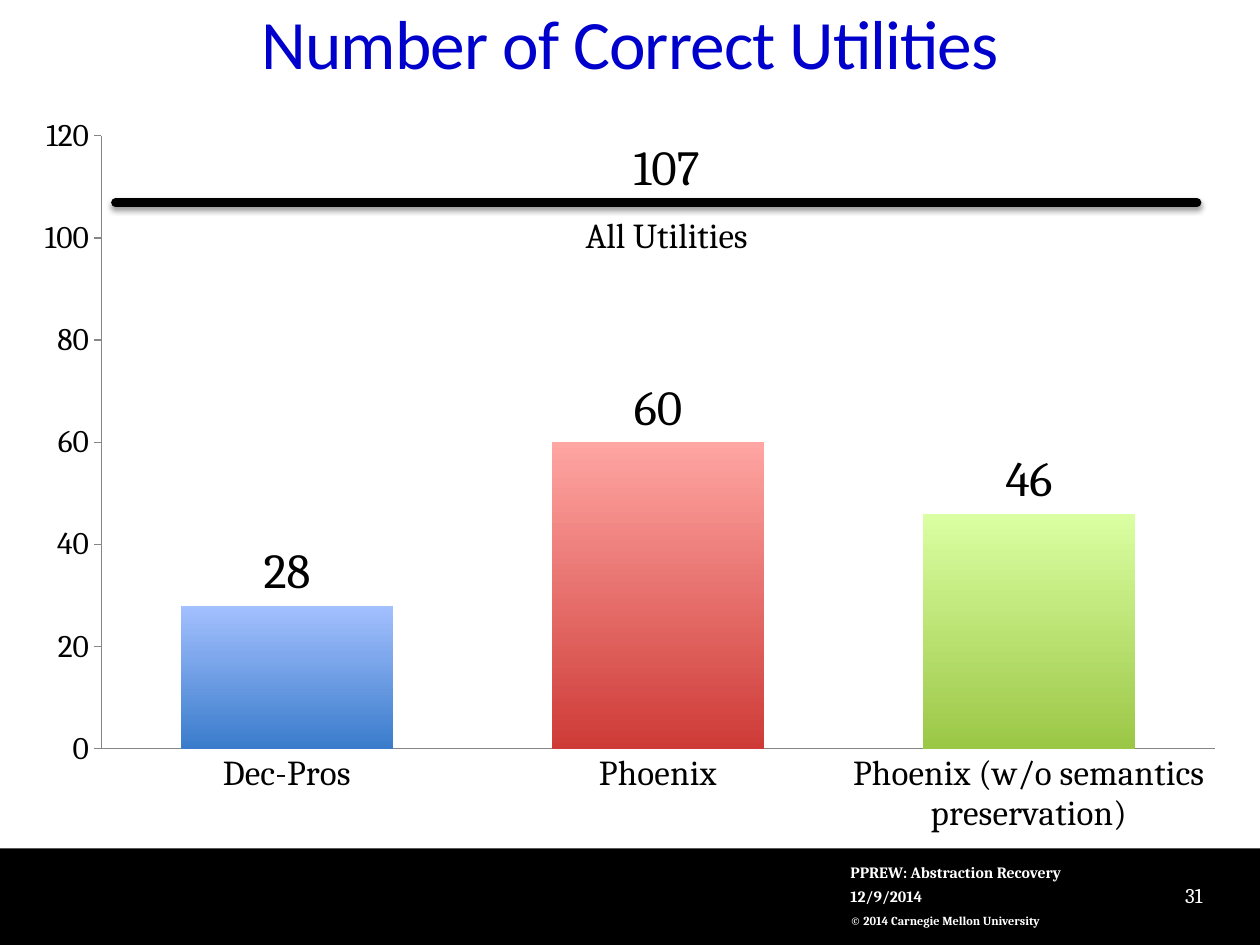
from lxml import etree
from pptx import Presentation
from pptx.chart.data import CategoryChartData
from pptx.dml.color import RGBColor
from pptx.enum.chart import XL_CHART_TYPE, XL_LABEL_POSITION, XL_TICK_MARK
from pptx.enum.shapes import MSO_CONNECTOR, MSO_SHAPE
from pptx.enum.text import MSO_ANCHOR, PP_ALIGN
from pptx.oxml import parse_xml
from pptx.oxml.ns import nsdecls, qn
from pptx.util import Inches, Pt

COLUMN = ROW = Inches(1) / 12  # grid of 120 columns by 90 rows
BLACK = RGBColor(0x00, 0x00, 0x00)
WHITE = RGBColor(0xFF, 0xFF, 0xFF)
TITLE_BLUE = RGBColor(0x00, 0x00, 0xCC)
AXIS_GREY = RGBColor(0x86, 0x86, 0x86)
# Bottom and top colour of each bar
BAR_COLOURS = [
    (RGBColor(0x3A, 0x7C, 0xCB), RGBColor(0xA3, 0xC0, 0xFF)),
    (RGBColor(0xCE, 0x3B, 0x37), RGBColor(0xFF, 0xA5, 0xA2)),
    (RGBColor(0x9B, 0xC7, 0x46), RGBColor(0xDA, 0xFF, 0xA2)),
]
LEFT, CENTER, RIGHT = PP_ALIGN.LEFT, PP_ALIGN.CENTER, PP_ALIGN.RIGHT
TOP, MIDDLE, BOTTOM = MSO_ANCHOR.TOP, MSO_ANCHOR.MIDDLE, MSO_ANCHOR.BOTTOM


def grid(left, top, width, height):
    """Turn columns and rows into slide lengths."""
    return (int(left * COLUMN), int(top * ROW),
            int(width * COLUMN), int(height * ROW))


def add_text(box, text, size, colour, bold=False, align=LEFT, anchor=TOP,
             insets=(0, 0, 0, 0)):
    frame = slide.shapes.add_textbox(*grid(*box)).text_frame
    frame.word_wrap = True
    frame.vertical_anchor = anchor
    (frame.margin_left, frame.margin_top,
     frame.margin_right, frame.margin_bottom) = map(Inches, insets)
    paragraph = frame.paragraphs[0]
    paragraph.alignment = align
    run = paragraph.add_run()
    run.text = text
    run.font.name = "Cambria"
    run.font.size = Pt(size)
    run.font.bold = bold
    run.font.color.rgb = colour
    return paragraph


presentation = Presentation()
presentation.slide_width = Inches(10)
presentation.slide_height = Inches(7.5)
slide = presentation.slides.add_slide(presentation.slide_layouts[5])

# Title
title = slide.shapes.title
title.left, title.top, title.width, title.height = grid(6, 0, 108, 8)
frame = title.text_frame
frame.vertical_anchor = MIDDLE
frame.margin_left = frame.margin_right = 0
paragraph = frame.paragraphs[0]
paragraph.alignment = CENTER
run = paragraph.add_run()
run.text = "Number of Correct Utilities"
run.font.name = "Calibri"
run.font.size = Pt(39.6)
run.font.color.rgb = TITLE_BLUE
run.font._element.set("spc", "-50")

# Footer
footer = slide.shapes.add_shape(MSO_SHAPE.RECTANGLE, *grid(0, 80.8, 120, 9.2))
footer.shadow.inherit = False
footer.fill.solid()
footer.fill.fore_color.rgb = BLACK
footer.line.fill.background()

copyright_line = add_text((81, 85.8, 30, 3.1), "© 2014 Carnegie Mellon University",
                          7, WHITE, True, anchor=MIDDLE, insets=(0, 0.05, 0.05, 0.05))
copyright_line.line_spacing = 1.5
for top, text in ((83.8, "12/9/2014"), (81.6, "PPREW: Abstraction Recovery")):
    add_text((81, top, 37, 3), text, 9, WHITE, True, anchor=BOTTOM,
             insets=(0, 0.05, 0.1, 0.05))
add_text((109, 82.9, 6.7, 4.8), "31", 12, WHITE, align=RIGHT, anchor=MIDDLE,
         insets=(0.1, 0.05, 0.1, 0.05))

# Column chart
data = CategoryChartData()
data.categories = ["Dec-Pros", "Phoenix", "Phoenix (w/o semantics preservation)"]
data.add_series("Series 1", (28, 60, 46))
chart = slide.shapes.add_chart(XL_CHART_TYPE.COLUMN_CLUSTERED,
                               *grid(2, 9.8, 116, 71.2), data).chart
chart.has_legend = False
chart.has_title = False
chart.font.name = "Cambria"
chart.font.size = Pt(18)
chart.font.color.rgb = BLACK

plot_area = chart._chartSpace.chart.plotArea
for old_layout in plot_area.findall(qn("c:layout")):
    plot_area.remove(old_layout)
plot_area.insert(0, parse_xml(
    f'<c:layout {nsdecls("c")}><c:manualLayout><c:layoutTarget val="inner"/>'
    '<c:xMode val="edge"/><c:yMode val="edge"/><c:x val="0.066"/>'
    '<c:y val="0.044"/><c:w val="0.914"/><c:h val="0.82"/>'
    '</c:manualLayout></c:layout>'))

category_axis, value_axis = chart.category_axis, chart.value_axis
category_axis.major_tick_mark = XL_TICK_MARK.NONE
category_axis.tick_labels.font.size = Pt(20)
value_axis.major_tick_mark = XL_TICK_MARK.OUTSIDE
value_axis.has_major_gridlines = False
value_axis.minimum_scale = 0
value_axis.maximum_scale = 120
value_axis.major_unit = 20
for axis in (category_axis, value_axis):
    axis.format.line.color.rgb = AXIS_GREY
    axis.format.line.width = Pt(0.75)

plot = chart.plots[0]
plot.vary_by_categories = False
plot.gap_width = 75
plot.overlap = -25
plot.has_data_labels = True
labels = plot.data_labels
labels.show_value = True
labels.position = XL_LABEL_POSITION.OUTSIDE_END
labels.font.size = Pt(28)
for index, colours in enumerate(BAR_COLOURS):
    fill = plot.series[0].points[index].format.fill
    fill.gradient()
    fill.gradient_angle = 90
    for stop, colour in zip(fill.gradient_stops, colours):
        stop.color.rgb = colour

# Reference line for all utilities
left, top, right, bottom = grid(11, 19.3, 114, 19.3)
all_line = slide.shapes.add_connector(MSO_CONNECTOR.STRAIGHT, left, top, right, bottom)
all_line.line.color.rgb = BLACK
all_line.line.width = Pt(5)
all_line.line._get_or_add_ln().set("cap", "rnd")
effects = etree.SubElement(all_line._element.spPr, qn("a:effectLst"))
shadow = etree.SubElement(effects, qn("a:outerShdw"), blurRad=str(Pt(3.1)),
                          dist=str(Pt(1.6)), dir="5400000", rotWithShape="0")
shadow_colour = etree.SubElement(shadow, qn("a:srgbClr"), val=str(BLACK))
etree.SubElement(shadow_colour, qn("a:alpha"), val="38000")

add_text((46, 20.3, 35, 4.1), "All Utilities", 20, BLACK, align=CENTER)
add_text((50, 13, 27, 5.6), "107", 28, BLACK, align=CENTER)

presentation.save("out.pptx")
